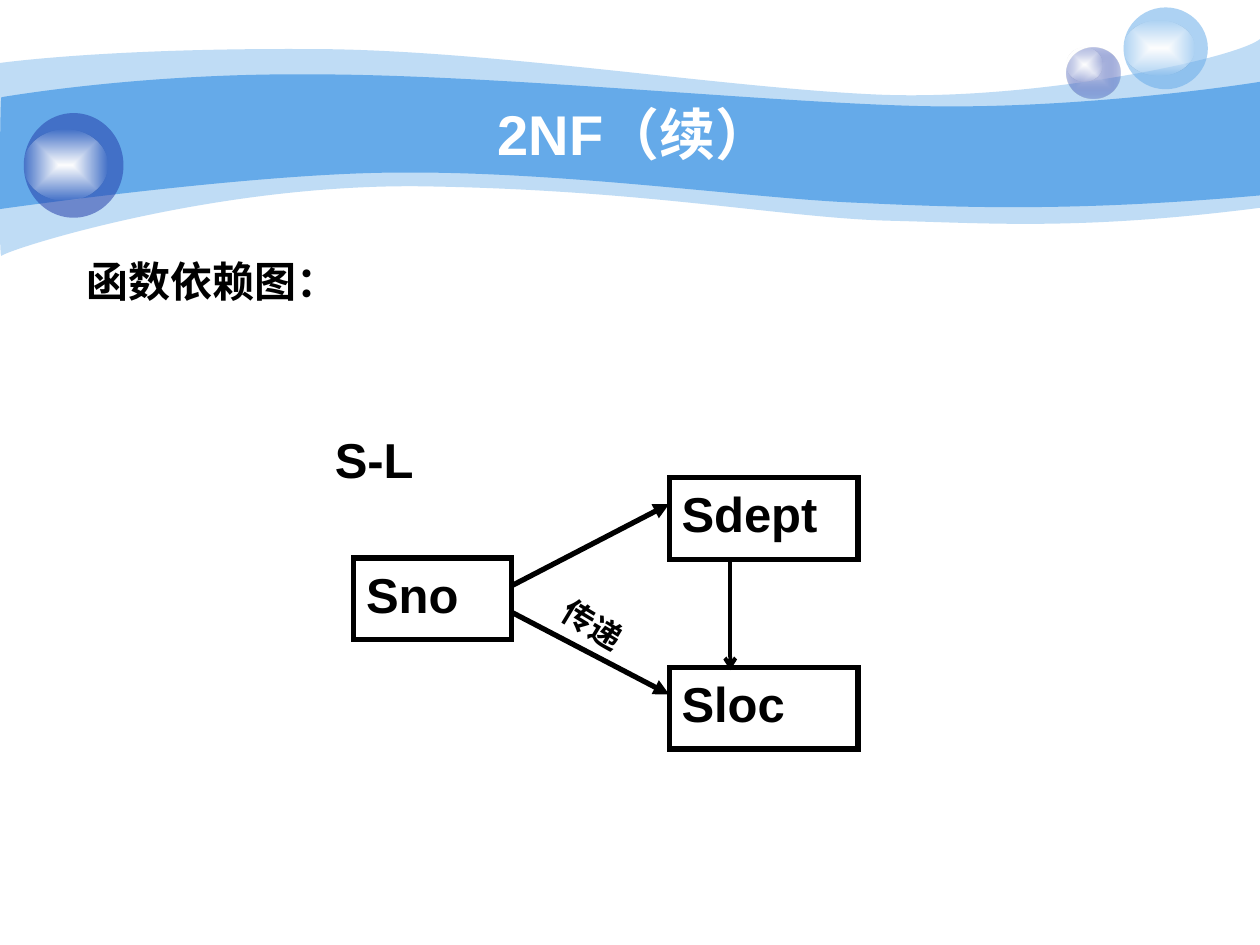
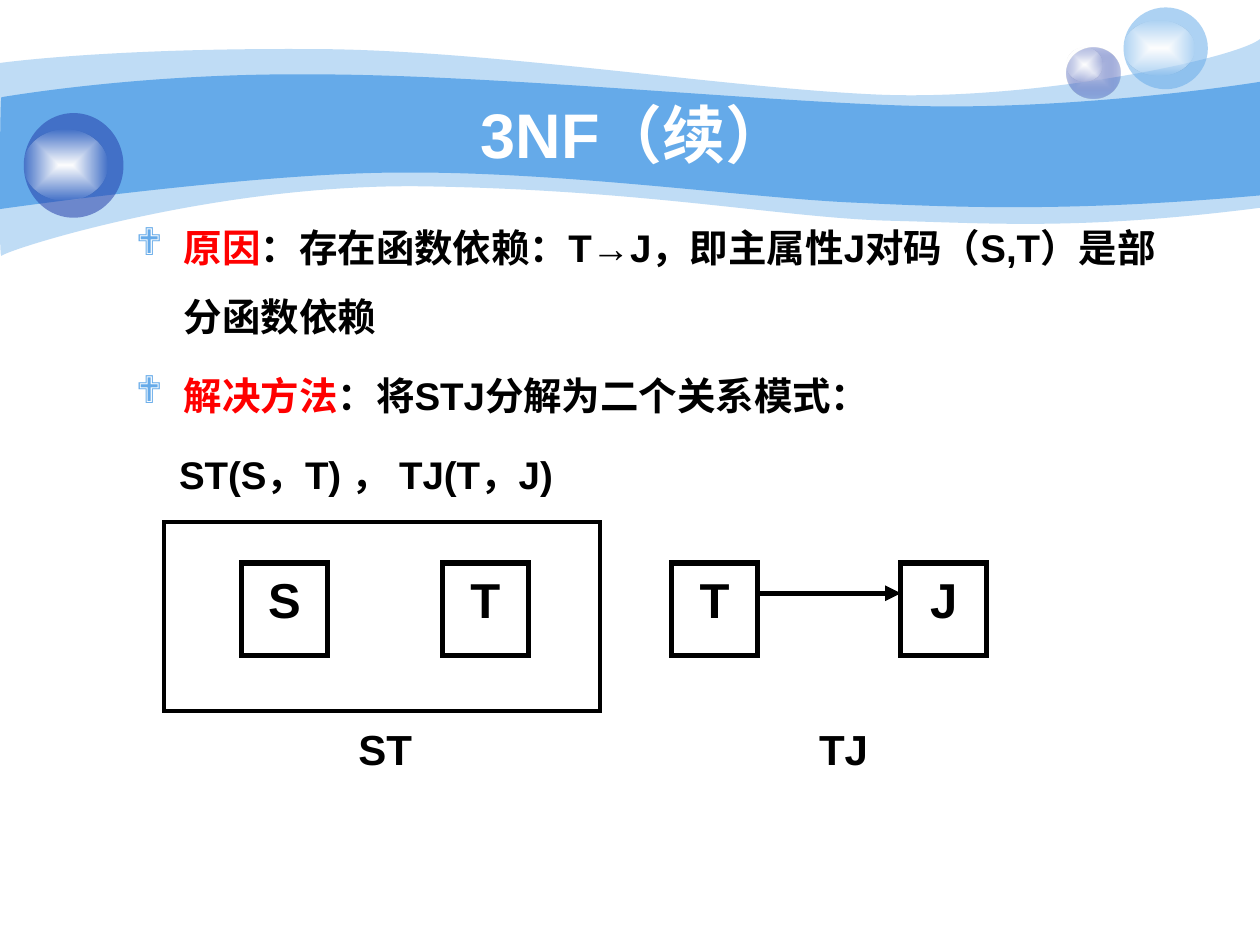
from dataclasses import dataclass
from typing import NamedTuple

from lxml.etree import SubElement
from pptx import Presentation
from pptx.dml.color import RGBColor
from pptx.enum.lang import MSO_LANGUAGE_ID as Language
from pptx.enum.shapes import MSO_CONNECTOR as Connector, MSO_SHAPE as Preset
from pptx.enum.text import MSO_ANCHOR as Anchor, PP_ALIGN as Align
from pptx.oxml import parse_xml
from pptx.oxml.ns import nsdecls, qn
from pptx.util import Cm, Pt

# Colours and fonts
SKY = RGBColor(0x65, 0xAA, 0xE9)
NAVY = RGBColor(0x23, 0x3D, 0xA9)
LILAC = RGBColor(0xC7, 0xCE, 0xE9)
WHITE = RGBColor(0xFF, 0xFF, 0xFF)
BLACK = RGBColor(0, 0, 0)
RED = RGBColor(0xFF, 0, 0)
FONT = "Arial"
BULLET_FONT = "Wingdings"

Point = tuple[float, float]


class Stop(NamedTuple):
    color: RGBColor
    opacity: int = 100


class Orb(NamedTuple):
    left: float
    top: float
    width: float
    height: float
    stops: list[Stop]


class Wave(NamedTuple):
    start: Point
    pieces: list[list[Point]]  # one point: straight line, three: cubic curve
    stop: Stop


class Span(NamedTuple):
    text: str
    color: RGBColor = BLACK


class Arrow(NamedTuple):
    start: Point
    end: Point
    width: float = 3
    head: str = "triangle"


@dataclass
class Para:
    spans: list[Span]
    size: float
    align: Align = Align.LEFT
    spacing: float = 1.0
    before: float = 0
    margin: float = 0
    indent: float = 0
    bullet: str = ""


@dataclass
class Box:
    left: float
    top: float
    width: float
    height: float
    paras: list[Para]
    border: float = 0
    anchor: Anchor = Anchor.TOP
    rotation: float = 0


# Backdrop shared by the slides
GLOW = [Stop(WHITE), Stop(WHITE, 0)]
WAVES = [
    Wave((0, 1.27), [
        [(0.61, 1.19), (2.72, 0.97), (6.27, 0.99)],
        [(9.8, 0.99), (14.61, 1.78), (17.75, 1.91)],
        [(20.88, 2.03), (24.89, 1.19), (25.4, 0.79)],
        [(25.4, 4.19)],
        [(21.79, 4.65), (19.99, 4.5), (17.91, 4.45)],
        [(15.8, 4.39), (13.08, 3.84), (8.71, 3.76)],
        [(4.37, 3.66), (0.1, 5.05), (0.03, 5.16)],
        [(-0.03, 5.28), (0, 1.91), (0, 1.27)],
    ], Stop(SKY, 41)),
    Wave((0.03, 1.96), [
        [(0.05, 1.96), (2.79, 1.47), (6.3, 1.5)],
        [(9.8, 1.5), (15.11, 2.03), (18.24, 2.13)],
        [(21.36, 2.24), (24.79, 1.75), (25.4, 1.65)],
        [(25.4, 3.94)],
        [(21.67, 4.27), (19.43, 4.19), (17.32, 4.09)],
        [(15.21, 4.01), (11.35, 3.45), (8.05, 3.48)],
        [(5.16, 3.48), (-0.05, 4.22), (-0.03, 4.22)],
        [(0, 4.22), (0, 1.96), (0.03, 1.96)],
    ], Stop(SKY)),
]
ORBS = [
    Orb(21.51, 0.96, 1.08, 1.03, [Stop(LILAC), Stop(NAVY, 31)]),
    Orb(21.51, 0.96, 0.72, 0.69, GLOW),
    Orb(22.65, 0.15, 1.7, 1.65, [Stop(SKY, 53)]),
    Orb(22.65, 0.42, 1.42, 1.1, GLOW),
    Orb(0.48, 2.28, 2.01, 2.11, [Stop(NAVY, 53)]),
    Orb(0.48, 2.62, 1.68, 1.42, GLOW),
]


def paint(shape, stops: list[Stop]) -> None:
    """Fill with one colour, or with a gradient from the centre outwards."""
    colors = [f'<a:srgbClr val="{stop.color}"><a:alpha val="{stop.opacity * 1000}"/></a:srgbClr>'
              for stop in stops]
    if len(colors) == 1:
        xml = f'<a:solidFill {nsdecls("a")}>{colors[0]}</a:solidFill>'
    else:
        xml = (f'<a:gradFill {nsdecls("a")} rotWithShape="1"><a:gsLst>'
               f'<a:gs pos="0">{colors[0]}</a:gs><a:gs pos="100000">{colors[1]}</a:gs></a:gsLst>'
               '<a:path path="rect"><a:fillToRect l="50000" t="50000" r="50000" b="50000"/></a:path>'
               '</a:gradFill>')
    shape.fill.background()
    properties = shape._element.spPr
    properties.replace(properties.find(qn("a:noFill")), parse_xml(xml))
    shape.line.fill.background()
    shape.shadow.inherit = False


def add_wave(page, wave: Wave) -> None:
    """Build the outline through its control points, then turn triples into curves."""
    builder = page.shapes.build_freeform(*map(Cm, wave.start))
    points = [(Cm(x), Cm(y)) for piece in wave.pieces for x, y in piece]
    builder.add_line_segments(points, close=True)
    shape = builder.convert_to_shape()
    segments = iter(list(shape._element.iter(qn("a:lnTo"))))
    for piece in wave.pieces:
        group = [next(segments) for _ in piece]
        if len(group) == 3:
            first, *others = group
            curve = parse_xml(f'<a:cubicBezTo {nsdecls("a")}/>')
            first.addprevious(curve)
            for segment in group:
                curve.append(segment[0])
                segment.getparent().remove(segment)
    paint(shape, [wave.stop])


def add_backdrop(page) -> None:
    for wave in WAVES:
        add_wave(page, wave)
    for orb in ORBS:
        paint(page.shapes.add_shape(Preset.OVAL, *map(Cm, orb[:4])), orb.stops)


def fill_para(target, para: Para) -> None:
    layout = {"alignment": para.align, "line_spacing": para.spacing, "space_before": Pt(para.before)}
    for name, value in layout.items():
        setattr(target, name, value)
    properties = target._p.get_or_add_pPr()
    properties.set("marL", str(Cm(para.margin)))
    properties.set("indent", str(Cm(para.indent)))
    if para.bullet:
        color = SubElement(properties, qn("a:buClr"))
        SubElement(color, qn("a:srgbClr"), val=str(SKY))
        SubElement(properties, qn("a:buFont"), typeface=BULLET_FONT)
        SubElement(properties, qn("a:buChar"), char=para.bullet)
    for span in para.spans:
        run = target.add_run()
        run.text = span.text
        style = {"name": FONT, "size": Pt(para.size), "bold": True,
                 "language_id": Language.SIMPLIFIED_CHINESE}
        for name, value in style.items():
            setattr(run.font, name, value)
        run.font.color.rgb = span.color


def add_box(page, box: Box) -> None:
    place = [Cm(value) for value in (box.left, box.top, box.width, box.height)]
    if box.border:
        shape = page.shapes.add_shape(Preset.RECTANGLE, *place)
        shape.shadow.inherit = False
        shape.fill.background()
        shape.line.color.rgb = BLACK
        shape.line.width = Pt(box.border)
        SubElement(shape.line._get_or_add_ln(), qn("a:miter"), lim="800000")
    else:
        shape = page.shapes.add_textbox(*place)
    shape.rotation = box.rotation
    frame = shape.text_frame
    frame.word_wrap = True
    frame.vertical_anchor = box.anchor
    for index, para in enumerate(box.paras):
        fill_para(frame.add_paragraph() if index else frame.paragraphs[0], para)


def add_arrow(page, arrow: Arrow) -> None:
    line = page.shapes.add_connector(Connector.STRAIGHT, *map(Cm, arrow.start + arrow.end))
    line.line.color.rgb = BLACK
    line.line.width = Pt(arrow.width)
    SubElement(line.line._get_or_add_ln(), qn("a:tailEnd"), type=arrow.head)
    SubElement(line._element.spPr, qn("a:effectLst"))


def add_page(deck, title: str, size: float, boxes: list[Box], arrows: list[Arrow]) -> None:
    page = deck.slides.add_slide(deck.slide_layouts[6])
    add_backdrop(page)
    heading = Para([Span(title, WHITE)], size, Align.CENTER)
    add_box(page, Box(2.54, 1.9, 20.52, 1.57, [heading], anchor=Anchor.MIDDLE))
    for box in boxes:
        add_box(page, box)
    for arrow in arrows:
        add_arrow(page, arrow)


def attribute(name: str, left: float, top: float, width: float) -> Box:
    return Box(left, top, width, 1.65, [Para([Span(name)], 28)], border=3)


def add_second_form(deck) -> None:
    """Dependency graph of S-L."""
    boxes = [
        Box(1.5, 4.52, 22.94, 2.39, [Para([Span("函数依赖图：")], 24, spacing=1.5, before=6)]),
        Box(6.5, 8.53, 3.81, 1.65, [Para([Span("S-L")], 28)]),
        attribute("Sno", 7.13, 11.25, 3.18),
        attribute("Sdept", 13.49, 9.63, 3.81),
        attribute("Sloc", 13.49, 13.45, 3.81),
        Box(11.0, 12.32, 2.39, 0.94,
            [Para([Span("传递")], 18, spacing=0.9, before=4.5)], rotation=31.1),
    ]
    arrows = [
        Arrow((10.31, 11.81), (13.49, 10.16)),
        Arrow((10.31, 12.34), (13.49, 14.0)),
        Arrow((14.72, 11.33), (14.72, 13.51), 2.25, "arrow"),
    ]
    add_page(deck, "2NF（续）", 32, boxes, arrows)


def add_third_form(deck) -> None:
    """Splitting STJ into two relations."""
    body = {"size": 22, "spacing": 1.5, "before": 5.5}
    item = {**body, "margin": 0.97, "indent": -0.97, "bullet": "❖"}
    boxes = [Box(2.49, 3.92, 21.59, 12.62, [
        Para([Span("原因", RED), Span("：存在函数依赖：T→J，即主属性J对码（S,T）是部分函数依赖")], **item),
        Para([Span("解决方法", RED), Span("：将STJ分解为二个关系模式：")], **item),
        Para([Span("ST(S，T) ， TJ(T，J)")], margin=0.87, **body),
    ])]
    node_width, node_height, node_top, label_width = 1.73, 1.87, 11.35, 2.31
    # Each relation: a pair of attributes with its name below the gap
    for relation, lefts in (("ST", (4.87, 8.92)), ("TJ", (13.54, 18.16))):
        for name, left in zip(relation, lefts):
            boxes.append(Box(left, node_top, node_width, node_height,
                             [Para([Span(name)], 28, Align.CENTER)], border=3))
        boxes.append(Box(lefts[1] - label_width, 14.46, label_width, node_height,
                         [Para([Span(relation)], 24, Align.CENTER)]))
    boxes.append(Box(3.3, 10.52, 8.8, 3.81, [], border=2.25))
    add_page(deck, "3NF（续）", 36, boxes, [Arrow((15.27, 11.96), (18.16, 11.96))])


def main() -> None:
    deck = Presentation()
    deck.slide_width, deck.slide_height = Cm(25.4), Cm(19.05)
    add_second_form(deck)
    add_third_form(deck)
    deck.save("out.pptx")


if __name__ == "__main__":
    main()
